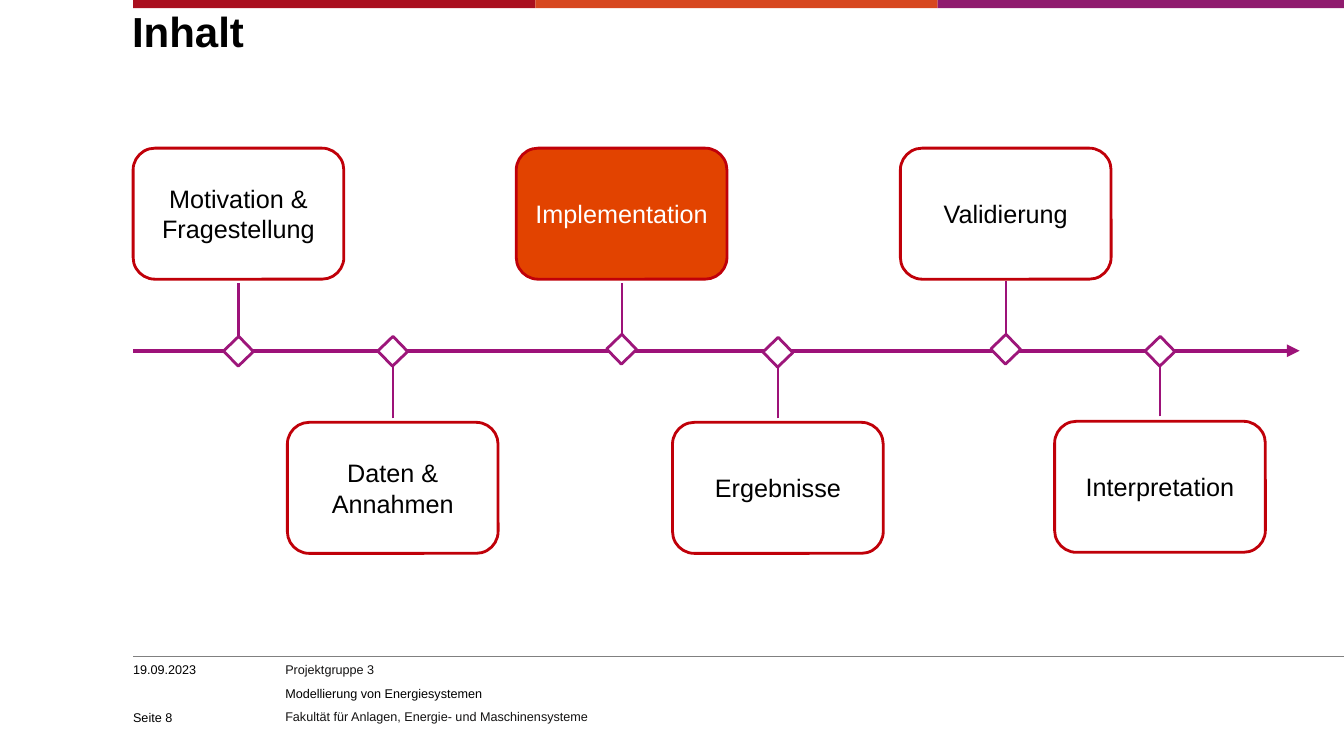
from pptx import Presentation
from pptx.dml.color import RGBColor
from pptx.enum import shapes as es, text as et
from pptx.oxml.ns import qn
from pptx.util import Inches, Pt
from lxml import etree

BLACK = RGBColor(0, 0, 0)
INK = RGBColor(0x14, 0x13, 0x13)
WHITE = RGBColor(255, 255, 255)
GRAY = RGBColor(0x80, 0x80, 0x80)
RED = RGBColor(0xC0, 0x00, 0x09)
FIRE = RGBColor(0xE2, 0x43, 0x00)
PLUM = RGBColor(0x9D, 0x12, 0x79)
EDGE = RGBColor(0x9D, 0x16, 0x7A)
BANDS = [RGBColor(0xAA, 0x0F, 0x1F), RGBColor(0xD7, 0x47, 0x1F), RGBColor(0x90, 0x1B, 0x6E)]

deck = Presentation()
deck.slide_width, deck.slide_height = Inches(13.33), Inches(7.5)
slide = deck.slides.add_slide(deck.slide_layouts[6])
LEFT = 1.32


def write(words, at=None, shape=None, size=9, color=BLACK, bold=False, align=None,
          anchor=et.MSO_ANCHOR.TOP, wrap=True, lead=None, after=None):
    box = shape or slide.shapes.add_textbox(*map(Inches, at))
    frame = box.text_frame
    frame.word_wrap = wrap
    frame.vertical_anchor = anchor
    if not shape:
        frame.margin_left = frame.margin_right = frame.margin_top = frame.margin_bottom = 0
    frame.text = words
    for para in frame.paragraphs:
        para.alignment, para.line_spacing, para.space_after = align, lead, after
        font = para.runs[0].font
        font.name, font.size, font.bold = "Arial", Pt(size), bold
        font.color.rgb = color
    return frame


def rule(x1, y1, x2, y2, color, width):
    line = slide.shapes.add_connector(es.MSO_CONNECTOR.STRAIGHT, *map(Inches, (x1, y1, x2, y2)))
    line.line.color.rgb, line.line.width = color, Pt(width)
    etree.SubElement(line._element.spPr, qn("a:effectLst"))
    return line


foot = write("Projektgruppe 3\nModellierung von Energiesystemen\n"
             "Fakultät für Anlagen, Energie- und Maschinensysteme",
             at=(2.83, 6.57, 6.46, 0.67), color=INK, wrap=False, after=Pt(6))
foot.paragraphs[1].runs[0].font.color.rgb = BLACK

for i, color in enumerate(BANDS):
    band = slide.shapes.add_shape(es.MSO_SHAPE.RECTANGLE, Inches(LEFT + 3.99 * i), 0,
                                  Inches(3.99 if i < 2 else 4.03), Inches(0.08))
    band.shadow.inherit = False
    band.fill.solid()
    band.fill.fore_color.rgb = color
    band.line.fill.background()

rule(LEFT, 6.51, 13.33, 6.51, GRAY, 0.5)
write("Inhalt", at=(1.31, 0.14, 11.81, 0.34), size=30, bold=True, lead=Pt(30))
write("19.09.2023", at=(LEFT, 6.57, 1.42, 0.2), wrap=False)
write("Seite 8", at=(LEFT, 6.96, 1.42, 0.23), anchor=et.MSO_ANCHOR.BOTTOM)

axis = rule(LEFT, 3.48, 12.89, 3.48, PLUM, 3)
etree.SubElement(axis.line._get_or_add_ln(), qn("a:tailEnd"), type="triangle")

WIDE, HIGH, KNOT = 2.09, 1.3, 0.21
STEPS = [
    ("Motivation & Fragestellung", 1.32, 1.47, 3.38, 2.81),
    ("Daten & Annahmen", 2.85, 4.19, 3.38, 3.63),
    ("Implementation", 5.12, 1.47, 3.36, 2.81),
    ("Ergebnisse", 6.67, 4.19, 3.39, 3.63),
    ("Validierung", 8.93, 1.47, 3.36, 2.79),
    ("Interpretation", 10.46, 4.18, 3.38, 3.61),
]
for name, left, top, knot, stem in STEPS:
    mid = left + WIDE / 2
    now = name == "Implementation"
    card = slide.shapes.add_shape(es.MSO_SHAPE.ROUNDED_RECTANGLE,
                                  *map(Inches, (left, top, WIDE, HIGH)))
    gem = slide.shapes.add_shape(es.MSO_SHAPE.RECTANGLE,
                                 *map(Inches, (mid - KNOT / 2, knot, KNOT, KNOT)))
    gem.rotation = 46
    for shape, fill, edge in ((card, FIRE if now else WHITE, RED), (gem, WHITE, EDGE)):
        shape.shadow.inherit = False
        shape.fill.solid()
        shape.fill.fore_color.rgb = fill
        shape.line.color.rgb, shape.line.width = edge, Pt(2)
    write(name, shape=card, size=18, color=WHITE if now else BLACK,
          align=et.PP_ALIGN.CENTER, anchor=et.MSO_ANCHOR.MIDDLE)
    rule(mid, stem + 0.52, mid, stem, PLUM, 1.5)

deck.save("out.pptx")
